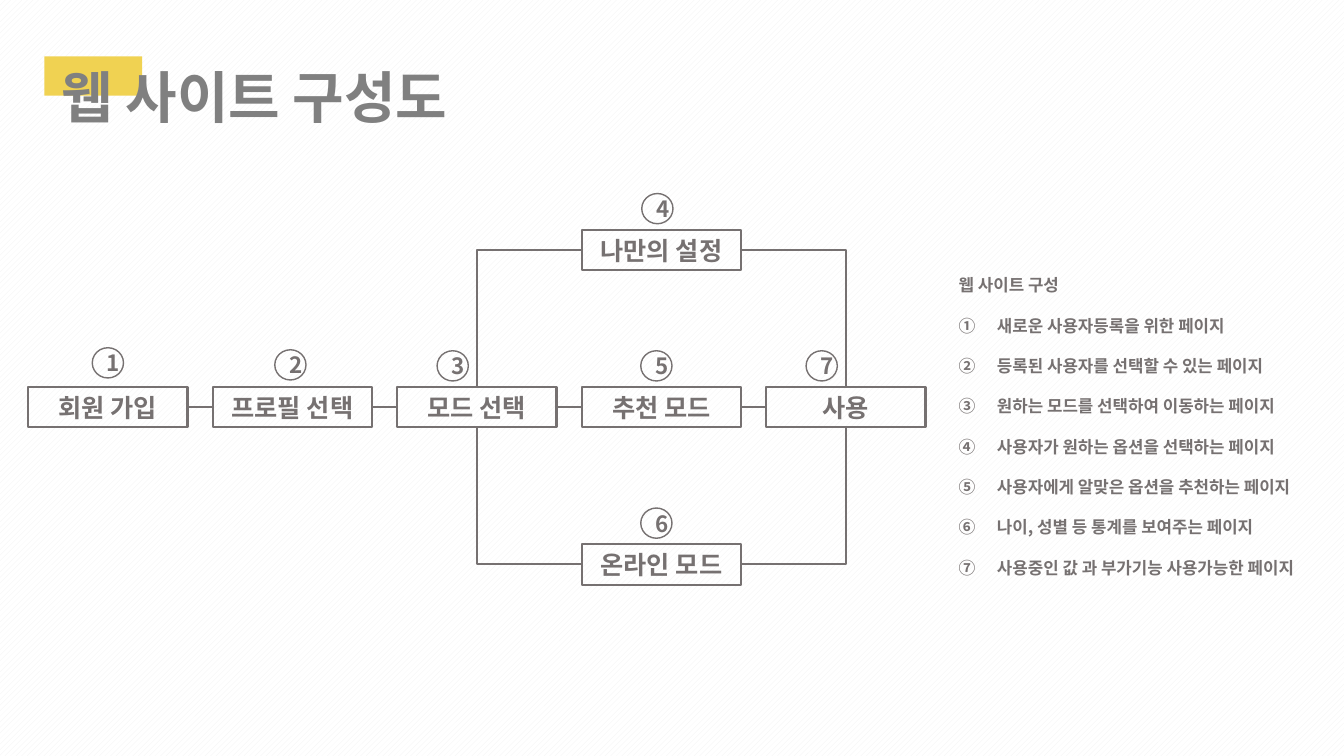
from dataclasses import dataclass

from lxml.etree import SubElement
from pptx import Presentation
from pptx.dml.color import RGBColor
from pptx.enum.dml import MSO_PATTERN
from pptx.enum.shapes import MSO_CONNECTOR, MSO_SHAPE
from pptx.enum.text import MSO_ANCHOR, PP_ALIGN
from pptx.oxml.ns import qn
from pptx.util import Inches, Pt


@dataclass(frozen=True)
class Theme:
    """Colours, font and type sizes of the slide."""
    ink: RGBColor = RGBColor(0x76, 0x71, 0x71)
    title: RGBColor = RGBColor(0x80, 0x80, 0x80)
    accent: RGBColor = RGBColor(0xF0, 0xD2, 0x52)
    paper: RGBColor = RGBColor(0xFF, 0xFF, 0xFF)
    stripe: RGBColor = RGBColor(0xF2, 0xF2, 0xF2)
    font: str = "Noto Sans CJK KR"
    title_size: int = 40
    page_size: int = 18
    badge_size: int = 16
    legend_size: int = 12
    legend_pitch: float = 28.8
    line: float = 1.5
    badge_line: float = 1


THEME = Theme()
TOP, LEFT, BOTTOM, RIGHT = range(4)
PAGE_W, PAGE_H, COL, ROW = 1.58, 0.4, 1.83, 1.56
BADGE_W, BADGE_H = 0.31, 0.3

# number: (label, column, row, badge shift, badge rise)
PAGES = {
    1: ("회원 가입", 0, 1, 0, 0.39),
    2: ("프로필 선택", 1, 1, -0.02, 0.37),
    3: ("모드 선택", 2, 1, -0.24, 0.36),
    4: ("나만의 설정", 3, 0, -0.04, 0.36),
    5: ("추천 모드", 3, 1, -0.05, 0.36),
    6: ("온라인 모드", 3, 2, -0.05, 0.36),
    7: ("사용", 4, 1, -0.24, 0.36),
}
STRAIGHT = [(1, 2), (2, 3), (3, 5), (5, 7)]
BENT = [(4, LEFT, 3, TOP), (4, RIGHT, 7, TOP),
        (6, LEFT, 3, BOTTOM), (6, RIGHT, 7, BOTTOM)]
LEGEND_TITLE = "웹 사이트 구성"
LEGEND = [
    "새로운 사용자등록을 위한 페이지",
    "등록된 사용자를 선택할 수 있는 페이지",
    "원하는 모드를 선택하여 이동하는 페이지",
    "사용자가 원하는 옵션을 선택하는 페이지",
    "사용자에게 알맞은 옵션을 추천하는 페이지",
    "나이, 성별 등 통계를 보여주는 페이지",
    "사용중인 값 과 부가기능 사용가능한 페이지",
]


def add_run(p, text, size, color=THEME.ink):
    """Add one bold run in the theme font."""
    r = p.add_run()
    r.text = text
    r.font.name = THEME.font
    r.font.size = Pt(size)
    r.font.bold = True
    r.font.color.rgb = color
    SubElement(r.font._element, qn("a:ea")).set("typeface", THEME.font)


def add_outline(s, kind, box, width, text, size):
    """Add an unfilled, outlined shape with centred text."""
    sp = s.shapes.add_shape(kind, *map(Inches, box))
    sp.shadow.inherit = False
    sp.fill.background()
    sp.line.color.rgb = THEME.ink
    sp.line.width = Pt(width)
    tf = sp.text_frame
    tf.word_wrap = True
    tf.vertical_anchor = MSO_ANCHOR.MIDDLE
    tf.margin_top = tf.margin_bottom = 0
    p = tf.paragraphs[0]
    p.alignment = PP_ALIGN.CENTER
    add_run(p, text, size)
    return sp


def add_link(s, start, start_site, end, end_site):
    """Join two pages, turning one corner between unlike sides."""
    bent = end_site in (TOP, BOTTOM)
    kind = MSO_CONNECTOR.ELBOW if bent else MSO_CONNECTOR.STRAIGHT
    link = s.shapes.add_connector(kind, 0, 0, 0, 0)
    link.begin_connect(start, start_site)
    link.end_connect(end, end_site)
    link.line.color.rgb = THEME.ink
    link.line.width = Pt(THEME.line)
    sp_pr = link._element.spPr
    if bent:
        sp_pr.find(qn("a:prstGeom")).set("prst", "bentConnector2")
    SubElement(sp_pr, qn("a:effectLst"))


def add_title(s, x, y, w, h):
    """Place the accent block and the heading over it."""
    block = s.shapes.add_shape(MSO_SHAPE.RECTANGLE, Inches(x), Inches(y),
                               Inches(w * 0.205), Inches(h * 0.5))
    block.shadow.inherit = False
    block.fill.solid()
    block.fill.fore_color.rgb = THEME.accent
    block.line.fill.background()
    inset = w * 0.015
    tf = s.shapes.add_textbox(Inches(x + inset), Inches(y), Inches(w - inset),
                              Inches(h)).text_frame
    tf.word_wrap = True
    tf.vertical_anchor = MSO_ANCHOR.MIDDLE
    tf.margin_top = tf.margin_bottom = 0
    add_run(tf.paragraphs[0], "웹 사이트 구성도", THEME.title_size, THEME.title)


def add_site_map(s, x, y):
    """Place pages, number badges and links on a grid from its corner."""
    pages = {}
    for number, (label, col, row, shift, rise) in PAGES.items():
        left, top = x + col * COL, y + row * ROW
        pages[number] = add_outline(s, MSO_SHAPE.RECTANGLE,
                                    (left, top, PAGE_W, PAGE_H),
                                    THEME.line, label, THEME.page_size)
        badge_x = left + (PAGE_W - BADGE_W) / 2 + shift
        add_outline(s, MSO_SHAPE.OVAL, (badge_x, top - rise, BADGE_W, BADGE_H),
                    THEME.badge_line, str(number), THEME.badge_size)
    for a, b in STRAIGHT:
        add_link(s, pages[a], RIGHT, pages[b], LEFT)
    for a, a_site, b, b_site in BENT:
        add_link(s, pages[a], a_site, pages[b], b_site)


def add_legend(s, x, y, w, h):
    """Place the heading and the circled-number list."""
    tf = s.shapes.add_textbox(*map(Inches, (x, y, w, h))).text_frame
    tf.word_wrap = True
    for i, text in enumerate([LEGEND_TITLE, *LEGEND]):
        p = tf.add_paragraph() if i else tf.paragraphs[0]
        p.line_spacing = Pt(THEME.legend_pitch)
        if i:
            p_pr = p._p.get_or_add_pPr()
            p_pr.set("marL", str(Inches(0.38)))
            p_pr.set("indent", str(-Inches(0.38)))
            SubElement(p_pr, qn("a:buAutoNum")).set("type", "circleNumDbPlain")
        add_run(p, text, THEME.legend_size)


def add_site_map_slide(prs):
    """Build the site structure slide on a striped background."""
    s = prs.slides.add_slide(prs.slide_layouts[6])
    fill = s.background.fill
    fill.patterned()
    fill.pattern = MSO_PATTERN.WIDE_UPWARD_DIAGONAL
    fill.fore_color.rgb = THEME.stripe
    fill.back_color.rgb = THEME.paper
    add_title(s, 0.44, 0.56, 4.73, 0.78)
    add_site_map(s, 0.28, 2.28)
    add_legend(s, 9.41, 2.48, 3.91, 3.33)


def main():
    """Create the presentation and save it."""
    prs = Presentation()
    prs.slide_width, prs.slide_height = Inches(13.33), Inches(7.5)
    add_site_map_slide(prs)
    prs.save("out.pptx")


if __name__ == "__main__":
    main()
